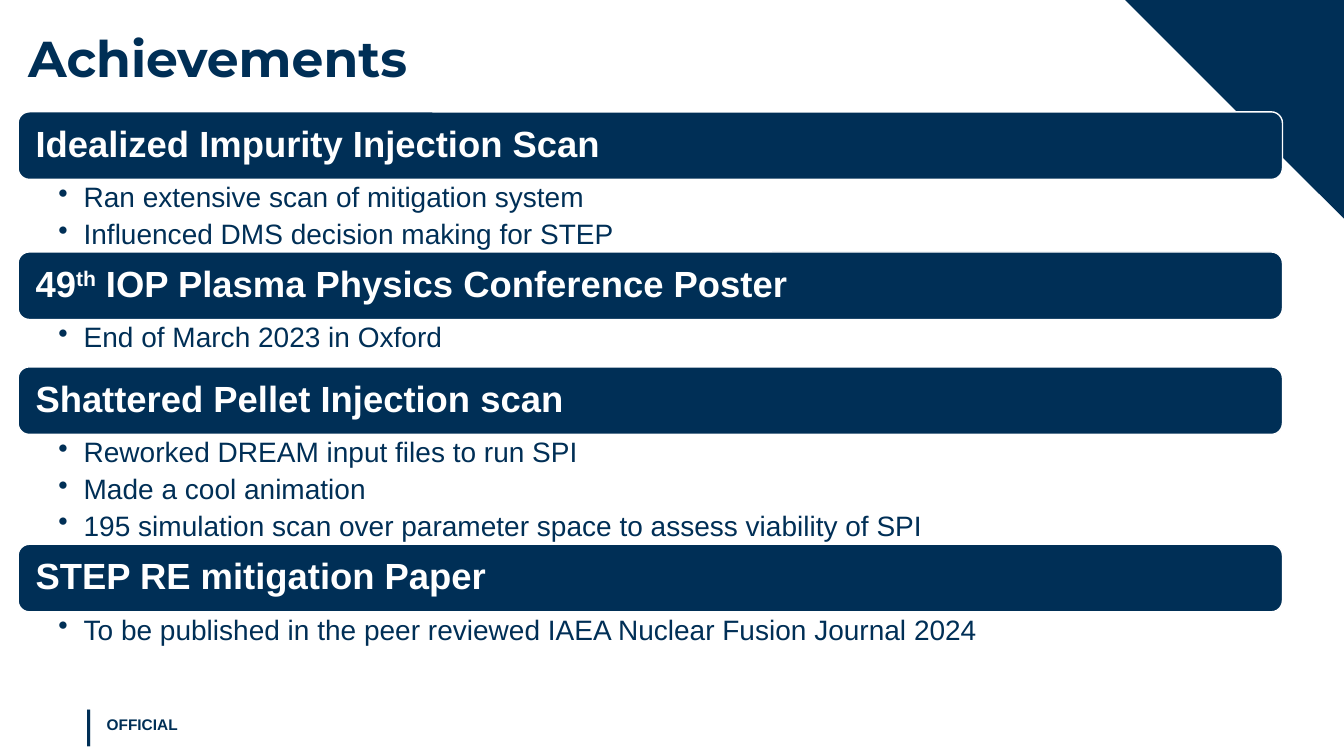
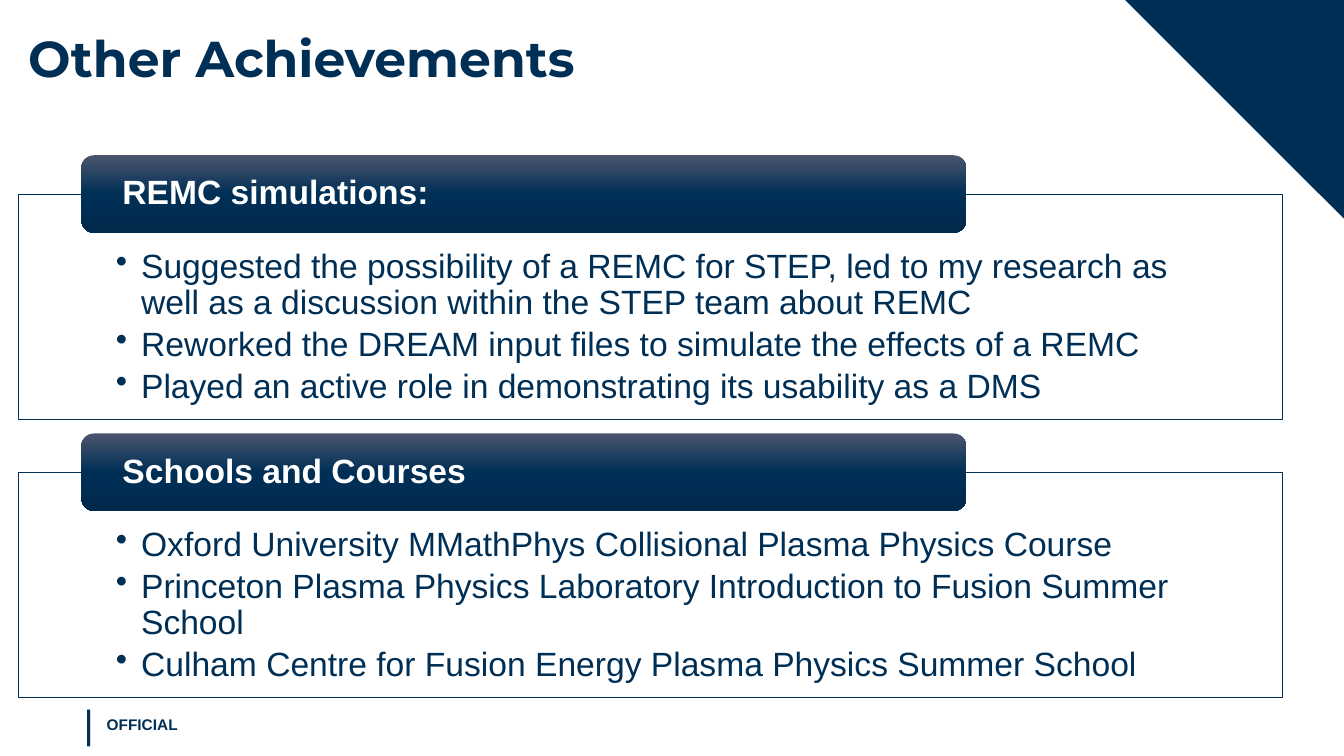
from copy import deepcopy
from dataclasses import dataclass

from lxml import etree
from pptx import Presentation
from pptx.dml.color import RGBColor
from pptx.enum.shapes import MSO_SHAPE
from pptx.enum.text import MSO_ANCHOR, MSO_AUTO_SIZE, PP_ALIGN
from pptx.oxml.ns import qn
from pptx.util import Inches, Pt

RECT, ROUND = MSO_SHAPE.RECTANGLE, MSO_SHAPE.ROUNDED_RECTANGLE
TOP, MIDDLE = MSO_ANCHOR.TOP, MSO_ANCHOR.MIDDLE
LEFT, CENTER = PP_ALIGN.LEFT, PP_ALIGN.CENTER
FIXED = MSO_AUTO_SIZE.NONE
TITLE_ONLY = 5


@dataclass(frozen=True)
class Theme:
    navy: str = "002F56"
    slate: str = "4B556D"
    deep: str = "002A4C"
    white: str = "FFFFFF"
    head: str = "Montserrat"
    body: str = "Arial"
    title: int = 36
    band: int = 26
    tab: int = 24
    item: int = 20
    point: int = 24
    mark: int = 11
    rule: int = 28


THEME = Theme()
WIDE, HIGH = 13.33, 7.5
EDGE, SPAN = 0.18, 12.54
PAD = (0.1, 0.05, 0.1, 0.05)
BAND = 0.67
ROOM = {1: 0.47, 2: 0.72, 3: 1.09}

TOPICS = [
    (["Idealized Impurity Injection Scan"],
     ["Ran extensive scan of mitigation system",
      "Influenced DMS decision making for STEP"]),
    (["49", ("th", 30), " IOP Plasma Physics Conference Poster"],
     ["End of March 2023 in Oxford"]),
    (["Shattered Pellet Injection scan"],
     ["Reworked DREAM input files to run SPI",
      "Made a cool animation",
      "195 simulation scan over parameter space to assess viability of SPI"]),
    (["STEP RE mitigation Paper"],
     ["To be published in the peer reviewed IAEA Nuclear Fusion Journal 2024"]),
]

PANELS = [
    ("REMC simulations:",
     ["Suggested the possibility of a REMC for STEP, led to my research as "
      "well as a discussion within the STEP team about REMC",
      "Reworked the DREAM input files to simulate the effects of a REMC",
      "Played an active role in demonstrating its usability as a DMS"]),
    ("Schools and Courses",
     ["Oxford University MMathPhys Collisional Plasma Physics Course",
      "Princeton Plasma Physics Laboratory Introduction to Fusion Summer School",
      "Culham Centre for Fusion Energy Plasma Physics Summer School"]),
]


def tint(code):
    return RGBColor.from_string(code)


def paint(fill, code):
    fill.solid()
    fill.fore_color.rgb = tint(code)


def frame(shape, pad=PAD, anchor=TOP, wrap=True):
    text = shape.text_frame
    text.auto_size = FIXED
    text.word_wrap = wrap
    text.vertical_anchor = anchor
    (text.margin_left, text.margin_top,
     text.margin_right, text.margin_bottom) = map(Inches, pad)
    return text


def write(line, parts, size, code=THEME.navy, bold=False, face=THEME.body):
    line.alignment = LEFT
    for part in parts:
        words, lift = part if isinstance(part, tuple) else (part, 0)
        run = line.add_run()
        run.text = words
        font = run.font
        font.name, font.size, font.bold = face, Pt(size), bold
        font.color.rgb = tint(code)
        if lift:
            run._r.get_or_add_rPr().set("baseline", str(lift * 1000))


def bullets(text, items, size, gap):
    for spot, item in enumerate(items):
        line = text.add_paragraph() if spot else text.paragraphs[0]
        props = line._p.get_or_add_pPr()
        props.set("marL", str(Inches(0.25)))
        props.set("indent", str(-Inches(0.25)))
        etree.SubElement(props, qn("a:buChar")).set("char", "•")
        line.line_spacing = 0.9
        line.space_after = Pt(gap)
        write(line, [item], size)


def block(slide, kind, box):
    shape = slide.shapes.add_shape(kind, *map(Inches, box))
    shape.shadow.inherit = False
    return shape


def label(slide, box, parts, size, pad=PAD, **style):
    shape = slide.shapes.add_textbox(*map(Inches, box))
    line = frame(shape, pad, MIDDLE).paragraphs[0]
    write(line, parts, size, **style)
    return shape


def shade(shape):
    fill = shape.fill
    fill.gradient()
    fill.gradient_angle = 270
    stops = shape._element.spPr.find(".//" + qn("a:gsLst"))
    stops.append(deepcopy(stops[-1]))
    marks = zip(fill.gradient_stops, (0, 0.5, 1),
                (THEME.slate, THEME.navy, THEME.deep))
    for stop, place, code in marks:
        stop.position = place
        stop.color.rgb = tint(code)


def dress(slide, layout):
    side = 2.17
    pen = slide.shapes.build_freeform(Inches(WIDE - side), 0)
    pen.add_line_segments([(Inches(WIDE), 0), (Inches(WIDE), Inches(side))])
    corner = pen.convert_to_shape()
    corner.shadow.inherit = False
    paint(corner.fill, THEME.navy)
    corner.line.fill.background()
    rule = label(slide, (0.78, 6.97, 0.2, 0.4), ["|"], THEME.rule, (0, 0, 0, 0))
    rule.text_frame.paragraphs[0].alignment = CENTER
    for part in (corner, rule):
        layout.shapes.element.append(part._element)


def start(deck, layout, title):
    slide = deck.slides.add_slide(layout)
    head = slide.shapes.title
    head.left, head.top, head.width, head.height = map(
        Inches, (EDGE, 0.22, 10.96, 1.45))
    write(frame(head).paragraphs[0], [title], THEME.title,
          bold=True, face=THEME.head)
    mark = label(slide, (0.96, 6.99, 7.66, 0.4), ["OFFICIAL"], THEME.mark, bold=True)
    mark.text_frame.paragraphs[0].space_after = Pt(6)
    return slide


def topic(slide, box, parts, items):
    left, top, width, height = box
    bar = block(slide, ROUND, (left, top, width, BAND))
    paint(bar.fill, THEME.navy)
    paint(bar.line.fill, THEME.white)
    bar.line.width = Pt(1)
    line = frame(bar, (0.14, 0.1, 0.14, 0.1), MIDDLE).paragraphs[0]
    line.line_spacing = 0.9
    write(line, parts, THEME.band, THEME.white, True)
    room = (left, top + BAND, width, height - BAND)
    body = slide.shapes.add_textbox(*map(Inches, room))
    bullets(frame(body, (0.4, 0.04, 0.2, 0.04)), items, THEME.item, 4.6)


def panel(slide, box, name, items):
    left, top, width, height = box
    tab = 0.77
    drop = tab / 2
    body = block(slide, RECT, (left, top + drop, width, height - drop))
    paint(body.fill, THEME.white)
    paint(body.line.fill, THEME.navy)
    body.line.width = Pt(0.5)
    bullets(frame(body, (0.97, 0.55, 0.97, 0.19)), items, THEME.point, 4)
    head = block(slide, ROUND, (left + width * 0.05, top, width * 0.7, tab))
    shade(head)
    head.line.fill.background()
    line = frame(head, (0.37, 0, 0.37, 0), MIDDLE).paragraphs[0]
    line.line_spacing = 0.9
    write(line, [name], THEME.tab, THEME.white, True)


def main():
    deck = Presentation()
    deck.slide_width, deck.slide_height = Inches(WIDE), Inches(HIGH)
    layout = deck.slide_layouts[TITLE_ONLY]

    slide = start(deck, layout, "Achievements")
    dress(slide, layout)
    top = 1.11
    for parts, items in TOPICS:
        height = BAND + ROOM[len(items)]
        topic(slide, (EDGE, top, SPAN, height), parts, items)
        top += height

    slide = start(deck, layout, "Other Achievements")
    for row, (name, items) in enumerate(PANELS):
        panel(slide, (EDGE, 1.54 + row * 2.76, SPAN, 2.62), name, items)

    deck.save("out.pptx")


if __name__ == "__main__":
    main()
